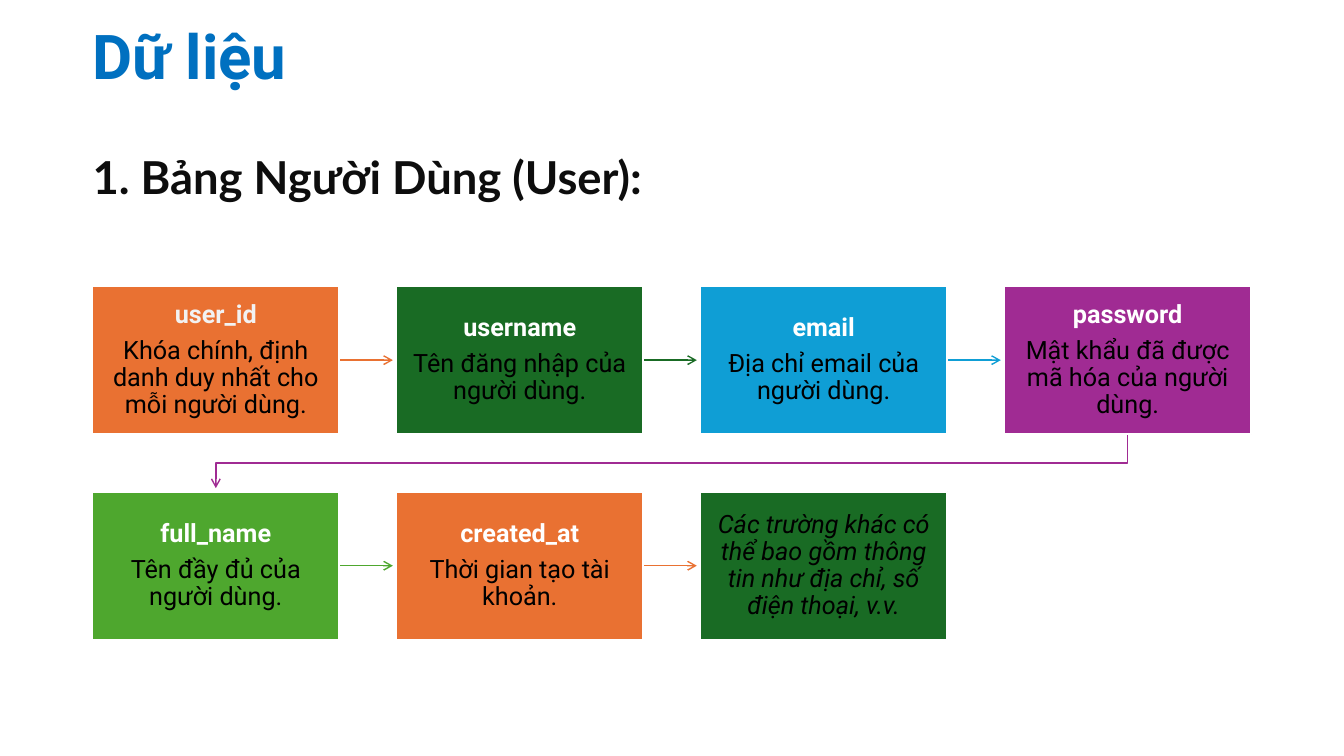
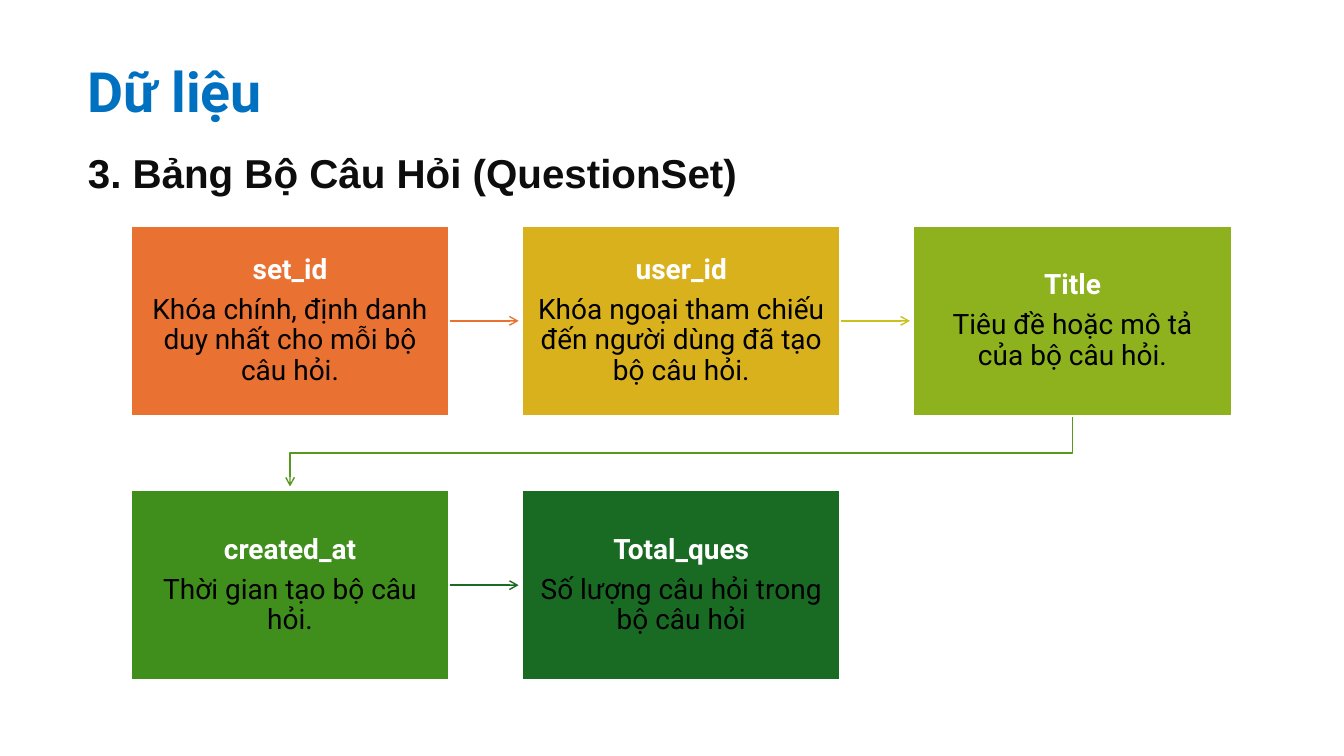
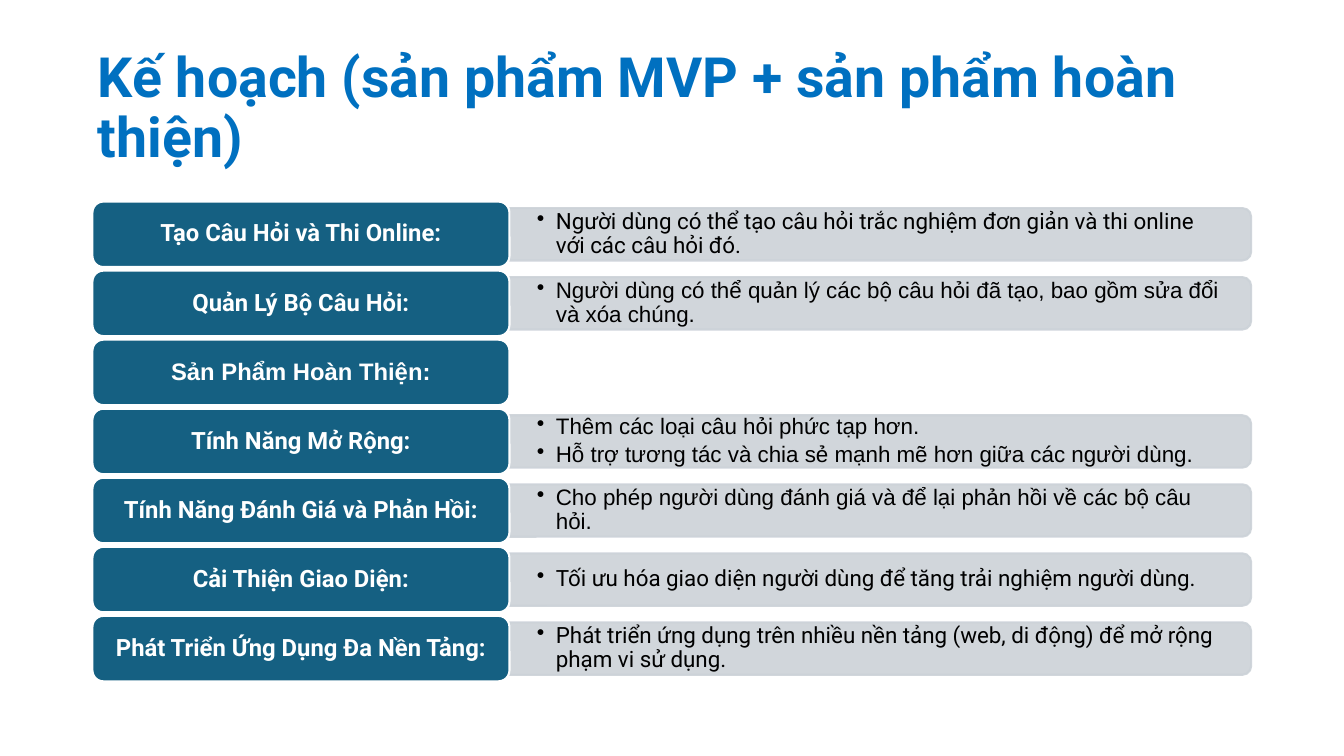
"""Build three slides: two database table diagrams and a product plan."""
from dataclasses import dataclass

from lxml.etree import SubElement
from pptx import Presentation
from pptx.dml.color import RGBColor
from pptx.enum.shapes import MSO_CONNECTOR, MSO_SHAPE
from pptx.enum.text import MSO_ANCHOR, MSO_AUTO_SIZE, PP_ALIGN
from pptx.oxml.ns import qn
from pptx.util import Cm, Pt


@dataclass(frozen=True)
class Theme:
    title: RGBColor = RGBColor.from_string("0070C0")
    subtitle: RGBColor = RGBColor.from_string("0D0D0D")
    black: RGBColor = RGBColor.from_string("000000")
    white: RGBColor = RGBColor.from_string("FFFFFF")
    soft_white: RGBColor = RGBColor.from_string("F2F2F2")
    orange: RGBColor = RGBColor.from_string("E97132")
    dark_green: RGBColor = RGBColor.from_string("196B24")
    blue: RGBColor = RGBColor.from_string("0F9ED5")
    purple: RGBColor = RGBColor.from_string("A02B93")
    green: RGBColor = RGBColor.from_string("4EA72E")
    gold: RGBColor = RGBColor.from_string("D8B11D")
    yellow: RGBColor = RGBColor.from_string("CBC11E")
    lime: RGBColor = RGBColor.from_string("8EB21E")
    leaf: RGBColor = RGBColor.from_string("56991D")
    forest: RGBColor = RGBColor.from_string("408E1C")
    label: RGBColor = RGBColor.from_string("156082")
    panel: RGBColor = RGBColor.from_string("CCD2D8")
    main_font: str = "Roboto"
    plain_font: str = "Arial"
    subtitle_font: str = "Lato"
    large_title_size: float = 44.1
    title_size: float = 39.6
    large_subtitle_size: float = 32.4
    subtitle_size: float = 28.8
    label_size: float = 17
    bullet_size: float = 16
    outline: float = 1.5
    arrow: float = 1


theme = Theme()


def set_values(target, values):
    for name, value in values.items():
        setattr(target, name, value)


def write_text(shape, frame_format, paragraph_format, lines):
    frame = shape.text_frame
    set_values(frame, {"word_wrap": True, "auto_size": MSO_AUTO_SIZE.NONE, **frame_format})
    for index, (text, colour, font_format) in enumerate(lines):
        paragraph = frame.paragraphs[0] if index == 0 else frame.add_paragraph()
        set_values(paragraph, paragraph_format)
        run = paragraph.add_run()
        run.text = text
        run.font.color.rgb = colour
        set_values(run.font, font_format)


presentation = Presentation()
set_values(presentation, {"slide_width": Cm(33.87), "slide_height": Cm(19.05)})

titles = [
    {
        "place": (2.08, 2.46, 29.21, 2.82),
        "anchor": MSO_ANCHOR.BOTTOM,
        "spacing": 0.9,
        "gap": 45,
        "lines": [
            ("Dữ liệu", theme.title, theme.main_font, theme.large_title_size),
            ("1. Bảng Người Dùng (User):", theme.subtitle, theme.subtitle_font, theme.large_subtitle_size),
        ],
    },
    {
        "place": (1.96, 0.71, 29.21, 4.14),
        "anchor": MSO_ANCHOR.MIDDLE,
        "spacing": 1.5,
        "gap": 0,
        "lines": [
            ("Dữ liệu", theme.title, theme.main_font, theme.title_size),
            ("3. Bảng Bộ Câu Hỏi (QuestionSet)", theme.subtitle, theme.plain_font, theme.subtitle_size),
        ],
    },
    {
        "place": (2.21, 0.92, 30, 3.68),
        "anchor": MSO_ANCHOR.MIDDLE,
        "spacing": 0.9,
        "gap": 0,
        "lines": [
            ("Kế hoạch (sản phẩm MVP + sản phẩm hoàn thiện)", theme.title, theme.main_font, theme.title_size),
        ],
    },
]
slides = []
for heading in titles:
    slide = presentation.slides.add_slide(presentation.slide_layouts[5])
    slides.append(slide)
    title = slide.shapes.title
    set_values(title, dict(zip(("left", "top", "width", "height"), map(Cm, heading["place"]))))
    write_text(
        title,
        {"vertical_anchor": heading["anchor"]},
        {"alignment": PP_ALIGN.LEFT, "line_spacing": heading["spacing"], "space_before": Pt(0)},
        [
            (text, colour, {"name": font, "size": Pt(size), "bold": True})
            for text, colour, font, size in heading["lines"]
        ],
    )
    title.text_frame.paragraphs[0].space_after = Pt(heading["gap"])

diagrams = [
    {
        "columns": 4,
        "origin": (2.33, 7.21),
        "pitch": (7.66, 5.18),
        "box": (6.22, 3.73),
        "insets": (0.3, 0.33),
        "size": 18,
        "fields": [
            ("user_id", "Khóa chính, định danh duy nhất cho mỗi người dùng.", theme.soft_white, theme.orange, theme.orange),
            ("username", "Tên đăng nhập của người dùng.", theme.white, theme.dark_green, theme.dark_green),
            ("email", "Địa chỉ email của người dùng.", theme.white, theme.blue, theme.blue),
            ("password", "Mật khẩu đã được mã hóa của người dùng.", theme.white, theme.purple, theme.purple),
            ("full_name", "Tên đầy đủ của người dùng.", theme.white, theme.green, theme.green),
            ("created_at", "Thời gian tạo tài khoản.", theme.white, theme.orange, theme.orange),
            (
                None,
                "Các trường khác có thể bao gồm thông tin như địa chỉ, số điện thoại, v.v.",
                theme.white, theme.dark_green, None,
            ),
        ],
    },
    {
        "columns": 3,
        "origin": (3.3, 5.69),
        "pitch": (9.86, 6.66),
        "box": (8.02, 4.79),
        "insets": (0.38, 0.41),
        "size": 20,
        "fields": [
            ("set_id", "Khóa chính, định danh duy nhất cho mỗi bộ câu hỏi.", theme.white, theme.orange, theme.orange),
            ("user_id", "Khóa ngoại tham chiếu đến người dùng đã tạo bộ câu hỏi.", theme.white, theme.gold, theme.yellow),
            ("Title", "Tiêu đề hoặc mô tả của bộ câu hỏi.", theme.white, theme.lime, theme.leaf),
            ("created_at", "Thời gian tạo bộ câu hỏi.", theme.white, theme.forest, theme.dark_green),
            ("Total_ques", "Số lượng câu hỏi trong bộ câu hỏi", theme.white, theme.dark_green, None),
        ],
    },
]
arrow_gap = Cm(0.09)
for slide, diagram in zip(slides, diagrams):
    origin_left, origin_top = map(Cm, diagram["origin"])
    pitch_across, pitch_down = map(Cm, diagram["pitch"])
    width, height = map(Cm, diagram["box"])
    inset_side, inset_end = map(Cm, diagram["insets"])
    size = diagram["size"]
    for index, (name, description, name_colour, fill, arrow_colour) in enumerate(diagram["fields"]):
        row, column = divmod(index, diagram["columns"])
        left = origin_left + column * pitch_across
        top = origin_top + row * pitch_down

        if arrow_colour is not None:
            if column < diagram["columns"] - 1:
                middle = top + height // 2
                arrow = slide.shapes.add_connector(
                    MSO_CONNECTOR.STRAIGHT, left + width, middle, left + pitch_across - arrow_gap, middle
                )
            else:
                start = left + width // 2
                end = origin_left + width // 2
                bend = top + (height + pitch_down) // 2
                builder = slide.shapes.build_freeform(start, top + height)
                builder.add_line_segments(
                    [(start, bend), (end, bend), (end, top + pitch_down - arrow_gap)], close=False
                )
                arrow = builder.convert_to_shape()
                arrow.fill.background()
            arrow.line.color.rgb = arrow_colour
            arrow.line.width = Pt(theme.arrow)
            properties = arrow._element.spPr
            SubElement(properties.find(qn("a:ln")), qn("a:tailEnd"), type="arrow")
            SubElement(properties, qn("a:effectLst"))

        box = slide.shapes.add_shape(MSO_SHAPE.RECTANGLE, left, top, width, height)
        box.shadow.inherit = False
        box.fill.solid()
        box.fill.fore_color.rgb = fill
        box.line.color.rgb = theme.white
        box.line.width = Pt(theme.outline)
        font_format = {"name": theme.main_font, "size": Pt(size)}
        lines = [(description, theme.black, {**font_format, "italic": name is None})]
        if name:
            lines.insert(0, (name, name_colour, {**font_format, "bold": True}))
        write_text(
            box,
            {
                "vertical_anchor": MSO_ANCHOR.MIDDLE,
                "margin_left": inset_side,
                "margin_right": inset_side,
                "margin_top": inset_end,
                "margin_bottom": inset_end,
            },
            {"alignment": PP_ALIGN.CENTER, "line_spacing": 0.9, "space_after": Pt(0.35 * size)},
            lines,
        )

plan = [
    (
        "Tạo Câu Hỏi và Thi Online:", theme.main_font, theme.main_font,
        ["Người dùng có thể tạo câu hỏi trắc nghiệm đơn giản và thi online với các câu hỏi đó."],
    ),
    (
        "Quản Lý Bộ Câu Hỏi:", theme.main_font, theme.plain_font,
        ["Người dùng có thể quản lý các bộ câu hỏi đã tạo, bao gồm sửa đổi và xóa chúng."],
    ),
    ("Sản Phẩm Hoàn Thiện:", theme.plain_font, theme.plain_font, []),
    (
        "Tính Năng Mở Rộng:", theme.main_font, theme.plain_font,
        [
            "Thêm các loại câu hỏi phức tạp hơn.",
            "Hỗ trợ tương tác và chia sẻ mạnh mẽ hơn giữa các người dùng.",
        ],
    ),
    (
        "Tính Năng Đánh Giá và Phản Hồi:", theme.main_font, theme.plain_font,
        ["Cho phép người dùng đánh giá và để lại phản hồi về các bộ câu hỏi."],
    ),
    (
        "Cải Thiện Giao Diện:", theme.main_font, theme.main_font,
        ["Tối ưu hóa giao diện người dùng để tăng trải nghiệm người dùng."],
    ),
    (
        "Phát Triển Ứng Dụng Đa Nền Tảng:", theme.main_font, theme.main_font,
        ["Phát triển ứng dụng trên nhiều nền tảng (web, di động) để mở rộng phạm vi sử dụng."],
    ),
]
plan_left, plan_top, plan_pitch = Cm(2.33), Cm(5.08), Cm(1.74)
label_width, label_height = Cm(10.51), Cm(1.65)
panel_width, panel_height = Cm(18.69), Cm(1.32)
panel_left = plan_left + label_width
bullet_indent = Cm(0.48)
shapes = slides[2].shapes
for index, (label_text, label_font, bullet_font, bullets) in enumerate(plan):
    top = plan_top + index * plan_pitch
    panel_top = top + (label_height - panel_height) // 2

    if bullets:
        turn = (panel_width - panel_height) // 2
        panel = shapes.add_shape(
            MSO_SHAPE.ROUND_2_SAME_RECTANGLE, panel_left + turn, panel_top - turn, panel_height, panel_width
        )
        panel.rotation = 90
        panel.shadow.inherit = False
        panel.fill.solid()
        panel.fill.fore_color.rgb = theme.panel
        panel.line.color.rgb = theme.panel
        panel.line.width = Pt(theme.outline)
        for colour in panel._element.spPr.iter(qn("a:srgbClr")):
            SubElement(colour, qn("a:alpha"), val="90000")

        bullet_box = shapes.add_textbox(panel_left, panel_top, panel_width, panel_height)
        write_text(
            bullet_box,
            {
                "vertical_anchor": MSO_ANCHOR.MIDDLE,
                "margin_left": Cm(0.69),
                "margin_right": Cm(0.69),
                "margin_top": 0,
                "margin_bottom": 0,
            },
            {"line_spacing": 0.9, "space_after": Pt(0.15 * theme.bullet_size)},
            [
                (text, theme.black, {"name": bullet_font, "size": Pt(theme.bullet_size)})
                for text in bullets
            ],
        )
        for paragraph in bullet_box.text_frame.paragraphs:
            properties = paragraph._p.get_or_add_pPr()
            properties.set("marL", str(bullet_indent))
            properties.set("indent", str(-bullet_indent))
            SubElement(properties, qn("a:buChar"), char="•")

    label = shapes.add_shape(MSO_SHAPE.ROUNDED_RECTANGLE, plan_left, top, label_width, label_height)
    label.shadow.inherit = False
    label.fill.solid()
    label.fill.fore_color.rgb = theme.label
    label.line.color.rgb = theme.white
    label.line.width = Pt(theme.outline)
    write_text(
        label,
        {"vertical_anchor": MSO_ANCHOR.MIDDLE},
        {"alignment": PP_ALIGN.CENTER, "line_spacing": 0.9},
        [(label_text, theme.white, {"name": label_font, "size": Pt(theme.label_size), "bold": True})],
    )

presentation.save("out.pptx")
